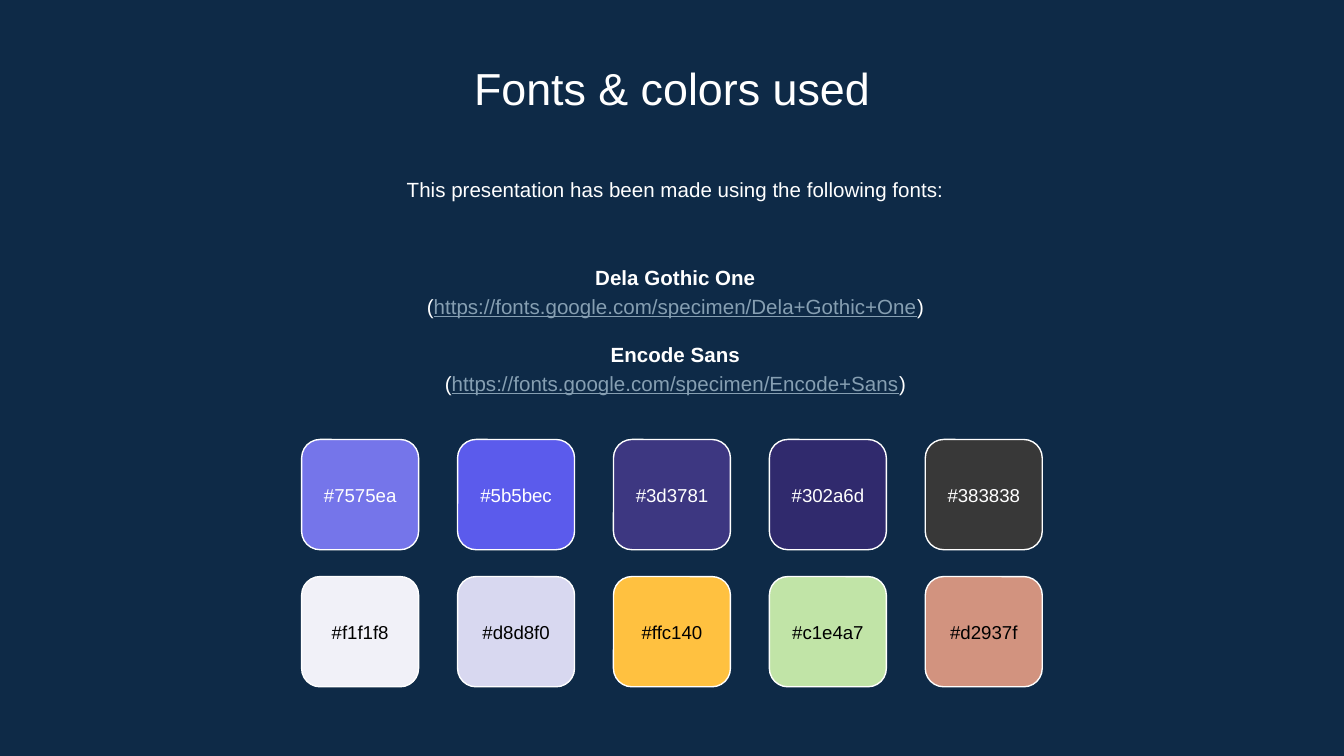
import pptx
import pptx.util
import pptx.dml.color
import pptx.enum.shapes
import pptx.enum.text

Inches, Pt = pptx.util.Inches, pptx.util.Pt
RGB = pptx.dml.color.RGBColor.from_string
ANCHOR = pptx.enum.text.MSO_ANCHOR

COLORS = {"background": "0E2A47", "white": "FFFFFF", "black": "000000", "link": "869FB2"}
WIDTH = 10
HEIGHT = WIDTH * 9 / 16

deck = pptx.Presentation()
deck.slide_width, deck.slide_height = Inches(WIDTH), Inches(HEIGHT)
page = deck.slides.add_slide(deck.slide_layouts[6])
page.background.fill.solid()
page.background.fill.fore_color.rgb = RGB(COLORS["background"])


def style_span(span, size, color, bold=False, underline=False):
    span.font.name = "Arial"
    span.font.size = Pt(size)
    span.font.color.rgb = RGB(COLORS[color])
    span.font.bold = bold
    span.font.underline = underline


def add_text(left, top, width, height, text, size, color="white", anchor=ANCHOR.TOP, spacing=1.0):
    """Add a centred text box, one paragraph per line of text."""
    box = page.shapes.add_textbox(Inches(left), Inches(top), Inches(width), Inches(height))
    frame = box.text_frame
    frame.word_wrap = True
    frame.vertical_anchor = anchor
    frame.margin_left = frame.margin_right = Inches(0.1)
    frame.margin_top = frame.margin_bottom = Inches(0.1)
    frame.text = text
    for para in frame.paragraphs:
        para.alignment = pptx.enum.text.PP_ALIGN.CENTER
        para.line_spacing = spacing
        for span in para.runs:
            style_span(span, size, color)
    return frame


# Title and introduction
text_width = 7.71
text_left = 1.17
add_text((WIDTH - text_width) / 2, 0.35, text_width, 0.53, "Fonts & colors used", 24)
add_text(text_left, 1.19, text_width, 0.48,
         "This presentation has been made using the following fonts:", 11, spacing=1.15)

# Font names, each followed by its address in brackets
fonts = {
    "Dela Gothic One": "https://fonts.google.com/specimen/Dela+Gothic+One",
    "Encode Sans": "https://fonts.google.com/specimen/Encode+Sans",
}
frame = add_text(text_left, 1.76, text_width, 1.37, "\n".join(f"{name}\n(" for name in fonts),
                 11, anchor=ANCHOR.MIDDLE, spacing=1.15)
for index, address in enumerate(fonts.values()):
    name_para, address_para = frame.paragraphs[2 * index:2 * index + 2]
    name_para.runs[0].font.bold = True
    if index:
        name_para.space_before = Pt(11)
    for text, color in ((address, "link"), (")", "white")):
        span = address_para.add_run()
        span.text = text
        style_span(span, 11, color, underline=color == "link")

# Colour swatches on a grid centred across the slide
swatch_rows = [
    ("white", ["7575ea", "5b5bec", "3d3781", "302a6d", "383838"]),
    ("black", ["f1f1f8", "d8d8f0", "ffc140", "c1e4a7", "d2937f"]),
]
swatch_width, swatch_height, label_height = 0.87, 0.82, 0.48
column_step, row_step = 1.16, 1.02
grid_left = (WIDTH - 4 * column_step - swatch_width) / 2
grid_top = 3.27

for row, (label_color, swatches) in enumerate(swatch_rows):
    for column, code in enumerate(swatches):
        left = grid_left + column * column_step
        top = grid_top + row * row_step
        swatch = page.shapes.add_shape(
            pptx.enum.shapes.MSO_SHAPE.ROUNDED_RECTANGLE,
            Inches(left), Inches(top), Inches(swatch_width), Inches(swatch_height))
        swatch.adjustments[0] = 0.167
        swatch.shadow.inherit = False
        swatch.fill.solid()
        swatch.fill.fore_color.rgb = RGB(code.upper())
        swatch.line.color.rgb = RGB(COLORS["white"])
        swatch.line.width = Pt(0.75)
        add_text(left, top + (swatch_height - label_height) / 2, swatch_width, label_height,
                 f"#{code}", 10, label_color, ANCHOR.MIDDLE)

deck.save("out.pptx")
